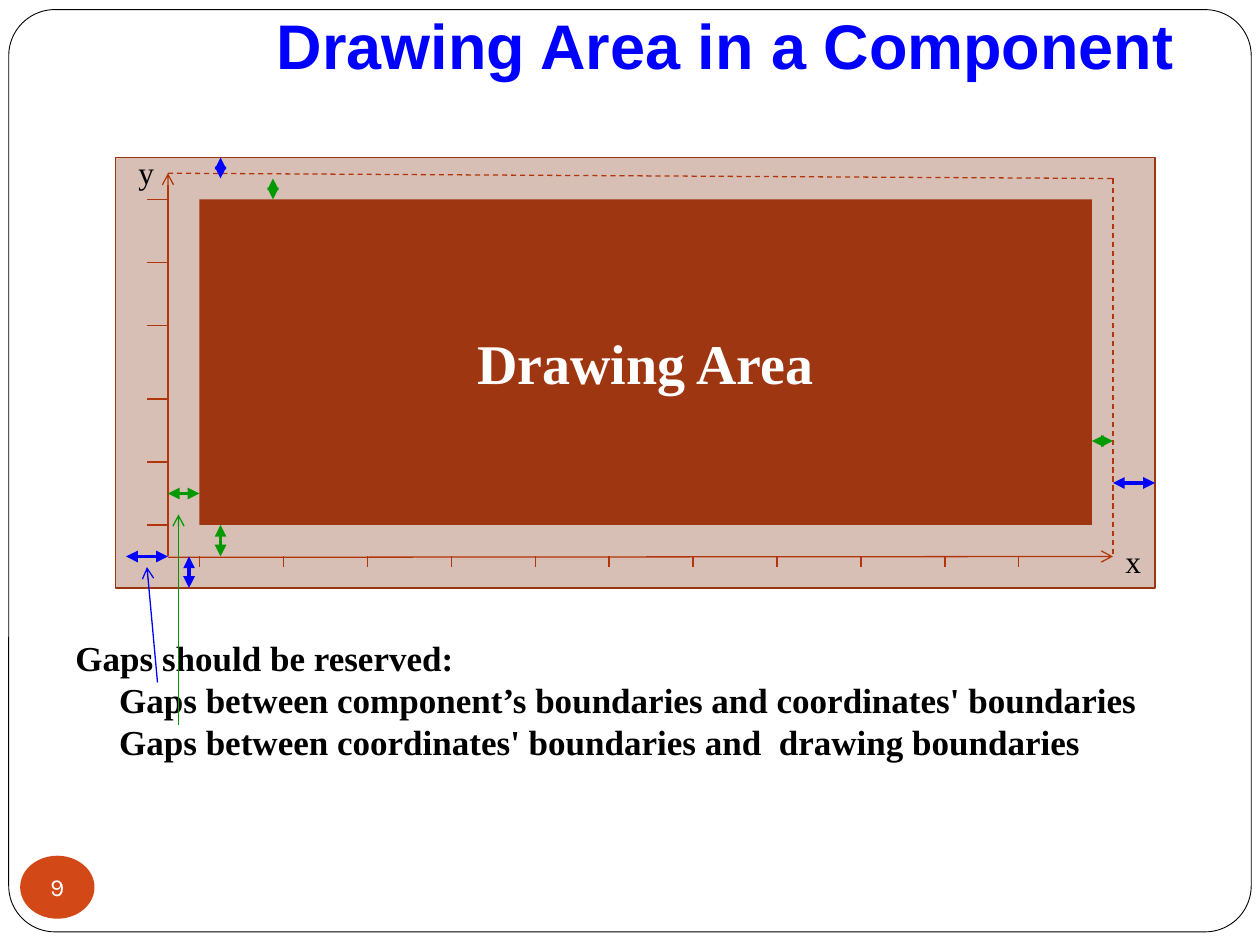
from lxml import etree
from pptx import Presentation
from pptx import util as u
from pptx.dml.color import RGBColor
from pptx.enum import dml, shapes, text
from pptx.oxml import ns

Pt = u.Pt
THEME = {
    "colors": {"white": "FFFFFF", "black": "000000", "blue": "0000FF", "green": "009900",
               "axis": "B1360B", "component": "D8BFB6", "border": "9C3511",
               "drawing": "9E3611", "badge": "D34817"},
    "sizes": {"title": 36, "area": 32, "body": 20, "axis": 18, "badge": 14},
    "fonts": {"title": "Arial", "badge": "Karla", "serif": "Times New Roman"},
}
COLORS = {name: RGBColor.from_string(value) for name, value in THEME["colors"].items()}
SIZES = {name: Pt(value) for name, value in THEME["sizes"].items()}
FONTS = THEME["fonts"]

presentation = Presentation()
presentation.slide_width, presentation.slide_height = Pt(720), Pt(540)
slide = presentation.slides.add_slide(presentation.slide_layouts[6])


def write(shape, lines, font, color, align=text.PP_ALIGN.LEFT, **frame):
    for name, value in {"word_wrap": True, **frame}.items():
        setattr(shape.text_frame, name, value)
    for index, line in enumerate(lines):
        paragraphs = shape.text_frame.paragraphs
        paragraph = shape.text_frame.add_paragraph() if index else paragraphs[0]
        paragraph.alignment = align
        run = paragraph.add_run()
        run.text = line
        for name, value in font.items():
            setattr(run.font, name, value)
        run.font.color.rgb = COLORS[color]


def draw_line(points, color, width=0.75, dash=None, **ends):
    line = slide.shapes.add_connector(shapes.MSO_CONNECTOR.STRAIGHT, *map(Pt, points))
    line.line.color.rgb = COLORS[color]
    line.line.width = Pt(width)
    line.line.dash_style = dash
    outline = line.line._get_or_add_ln()
    for end, kind in ends.items():
        etree.SubElement(outline, ns.qn(f"a:{end}"), type=kind)
    etree.SubElement(line._element.spPr, ns.qn("a:effectLst"))


boxes = {}
for name, kind, bounds, fill, border, width in [
    ("frame", "ROUNDED_RECTANGLE", (5, 5.5, 710, 527), "white", "black", 0.5),
    ("badge", "OVAL", (11.5, 489, 42.5, 36), "badge", None, 0),
    ("component", "RECTANGLE", (66, 90, 594, 246), "component", "border", 1),
    ("drawing", "RECTANGLE", (114, 114, 510, 186), "drawing", None, 0),
]:
    shape = slide.shapes.add_shape(getattr(shapes.MSO_SHAPE, kind), *map(Pt, bounds))
    shape.shadow.inherit = False
    shape.fill.solid()
    shape.fill.fore_color.rgb = COLORS[fill]
    if border:
        shape.line.color.rgb = COLORS[border]
        shape.line.width = Pt(width)
    else:
        shape.line.fill.background()
    boxes[name] = shape
boxes["frame"].adjustments[0] = 0.05

middle, center = text.MSO_ANCHOR.MIDDLE, text.PP_ALIGN.CENTER
write(boxes["badge"], ["9"], {"name": FONTS["badge"], "size": SIZES["badge"]}, "white", center,
      word_wrap=False, vertical_anchor=middle,
      margin_left=0, margin_top=0, margin_right=0, margin_bottom=0)
write(boxes["drawing"], ["Drawing Area"],
      {"name": FONTS["serif"], "size": SIZES["area"], "bold": True}, "white", center,
      vertical_anchor=middle)

title = slide.shapes.add_textbox(Pt(72), Pt(0), Pt(606), Pt(54))
write(title, ["Drawing Area in a Component"],
      {"name": FONTS["title"], "size": SIZES["title"], "bold": True}, "blue",
      text.PP_ALIGN.RIGHT, vertical_anchor=text.MSO_ANCHOR.BOTTOM, margin_bottom=Pt(7.2))

notes = slide.shapes.add_textbox(Pt(36), Pt(360), Pt(624), Pt(80))
write(notes, ["Gaps should be reserved:",
              "Gaps between component’s boundaries and coordinates' boundaries",
              "Gaps between coordinates' boundaries and  drawing boundaries"],
      {"name": FONTS["serif"], "size": SIZES["body"], "bold": True}, "black")
for paragraph in notes.text_frame.paragraphs[1:]:
    paragraph._p.get_or_add_pPr().set("marL", str(Pt(25)))

for label, left, top in [("x", 636, 306), ("y", 72, 84)]:
    axis_label = slide.shapes.add_textbox(Pt(left), Pt(top), Pt(24), Pt(29))
    write(axis_label, [label], {"name": FONTS["serif"], "size": SIZES["axis"]}, "black")

origin_x, origin_y, axis_right, axis_top = 96, 318, 636, 99
draw_line((origin_x, origin_y, origin_x, axis_top), "axis", tailEnd="arrow")
draw_line((origin_x, origin_y + 0.5, axis_right, origin_y), "axis", tailEnd="arrow")
for x in (114, 162, 210, 258, 306, 348, 396, 444, 492, 540, 582):
    draw_line((x, origin_y, x, origin_y + 6), "axis")
for y in (114, 150, 186, 228, 264, 300):
    draw_line((origin_x - 12, y, origin_x, y), "axis")
for points in [(origin_x, axis_top, axis_right, 102), (axis_right, 102, axis_right, origin_y)]:
    draw_line(points, "axis", dash=dml.MSO_LINE.DASH)

gaps = {
    "blue": [(72, 318, 96, 318), (108, 336, 108, 318), (636, 276, 660, 276), (126, 90, 126, 102)],
    "green": [(96, 282, 114, 282), (126, 300, 126, 318), (156, 102, 156, 114), (624, 252, 636, 252)],
}
for color, arrows in gaps.items():
    for points in arrows:
        draw_line(points, color, 2.25, headEnd="triangle", tailEnd="triangle")

pointers = {"blue": (90, 390, 84, 324), "green": (102, 414, 102, 294)}
for color, points in pointers.items():
    draw_line(points, color, tailEnd="arrow")

presentation.save("out.pptx")
